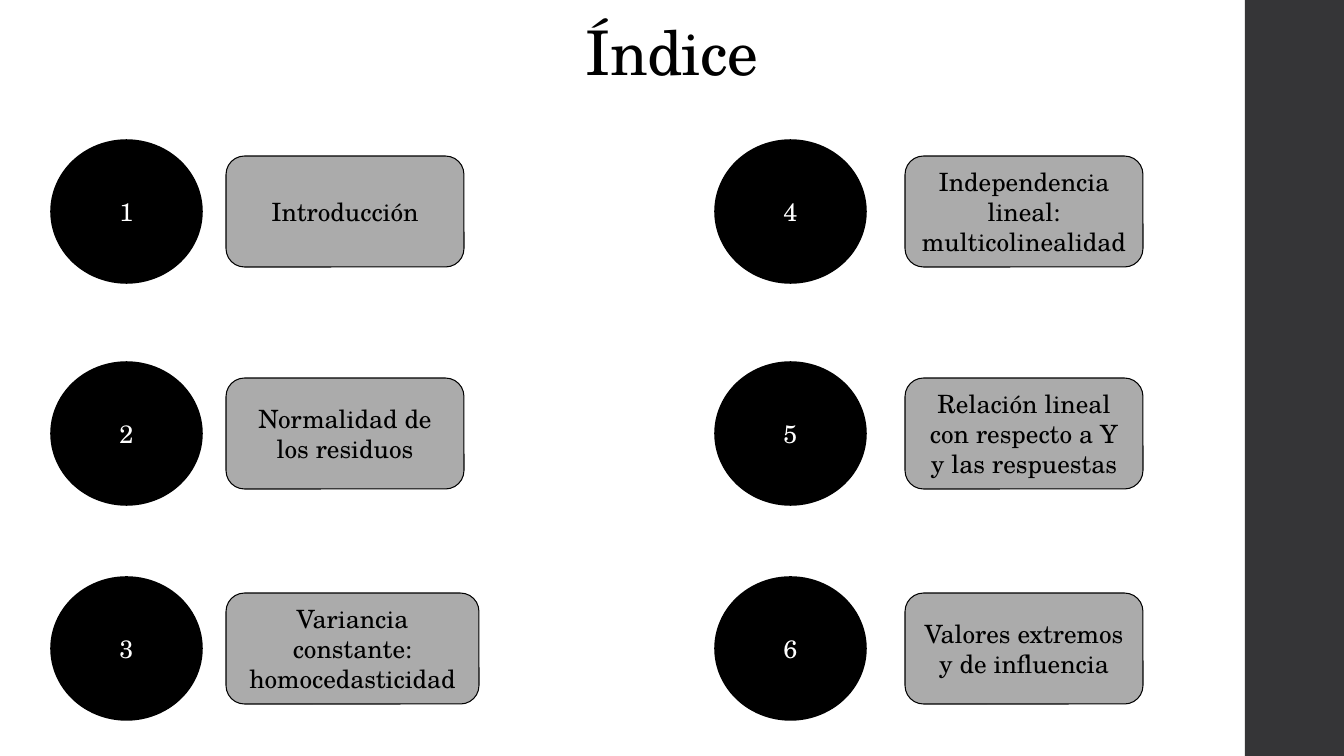
import pptx
import pptx.dml.color
import pptx.enum.shapes
import pptx.enum.text
import pptx.util

EMU_PER_PX = 914400 / 100.8
FONT = "TeX Gyre Schola"
SHAPES = pptx.enum.shapes.MSO_SHAPE
ANCHORS = pptx.enum.text.MSO_ANCHOR
TITLE_ONLY = 5

ROW_TOPS = (140, 362, 577)
COLUMNS = (
    (51, 226, ("Introducción", "Normalidad de los residuos",
               "Variancia constante: homocedasticidad")),
    (715, 905, ("Independencia lineal: multicolinealidad",
                "Relación lineal con respecto a Y y las respuestas",
                "Valores extremos y de influencia")),
)
BOX_WIDTH = 238
WIDE_BOXES = {3: 253}


def px(length):
    """Turn pixels into EMU."""
    return pptx.util.Emu(round(length * EMU_PER_PX))


def color(value):
    """Turn a hex string into a colour."""
    return pptx.dml.color.RGBColor.from_string(value)


def apply(target, formats):
    """Set each attribute of the target from a dict."""
    for name, value in formats.items():
        setattr(target, name, value)


def place(shape, left, top, width, height):
    """Move and size a shape in pixels."""
    apply(shape, {"left": px(left), "top": px(top),
                  "width": px(width), "height": px(height)})


def write(shape, text, size, ink, anchor):
    """Write one centred paragraph and return its run."""
    frame = shape.text_frame
    apply(frame, {"word_wrap": True, "vertical_anchor": anchor,
                  "auto_size": pptx.enum.text.MSO_AUTO_SIZE.NONE})
    para = frame.paragraphs[0]
    para.alignment = pptx.enum.text.PP_ALIGN.CENTER
    span = para.add_run()
    span.text = text
    apply(span.font, {"name": FONT, "size": pptx.util.Pt(size)})
    span.font.color.rgb = color(ink)
    return span


def add_title(page, text):
    """Fill and format the title placeholder."""
    title = page.shapes.title
    place(title, 138, 0, 1068, 94)
    span = write(title, text, 44, "000000", ANCHORS.BOTTOM)
    span._r.get_or_add_rPr().set("spc", "-50")
    title.text_frame.paragraphs[0].line_spacing = 0.9


def add_block(page, kind, bounds, fill, line_width=0):
    """Add a filled shape, with a black outline if a width is given."""
    block = page.shapes.add_shape(kind, *map(px, bounds))
    block.shadow.inherit = False
    block.fill.solid()
    block.fill.fore_color.rgb = color(fill)
    if line_width:
        block.line.color.rgb = color("000000")
        block.line.width = pptx.util.Pt(line_width)
    else:
        block.line.fill.background()
    return block


def add_entry(page, number, text, circle_left, box_left, top):
    """Add a numbered circle and its label box."""
    circle = add_block(page, SHAPES.OVAL, (circle_left, top, 151, 143), "000000", 1.1)
    write(circle, str(number), 18, "FFFFFF", ANCHORS.MIDDLE)
    width = WIDE_BOXES.get(number, BOX_WIDTH)
    box = add_block(page, SHAPES.ROUNDED_RECTANGLE,
                    (box_left, top + 16, width, 111), "ABABAB", 0.75)
    write(box, text, 18, "000000", ANCHORS.MIDDLE)


def main():
    """Build the index slide and save it."""
    deck = pptx.Presentation()
    apply(deck, {"slide_width": px(1344), "slide_height": px(756)})
    page = deck.slides.add_slide(deck.slide_layouts[TITLE_ONLY])
    add_block(page, SHAPES.RECTANGLE, (1245, 0, 99, 756), "353537")
    add_title(page, "Índice")
    number = 0
    for circle_left, box_left, labels in COLUMNS:
        for top, text in zip(ROW_TOPS, labels):
            number += 1
            add_entry(page, number, text, circle_left, box_left, top)
    deck.save("out.pptx")


if __name__ == "__main__":
    main()
